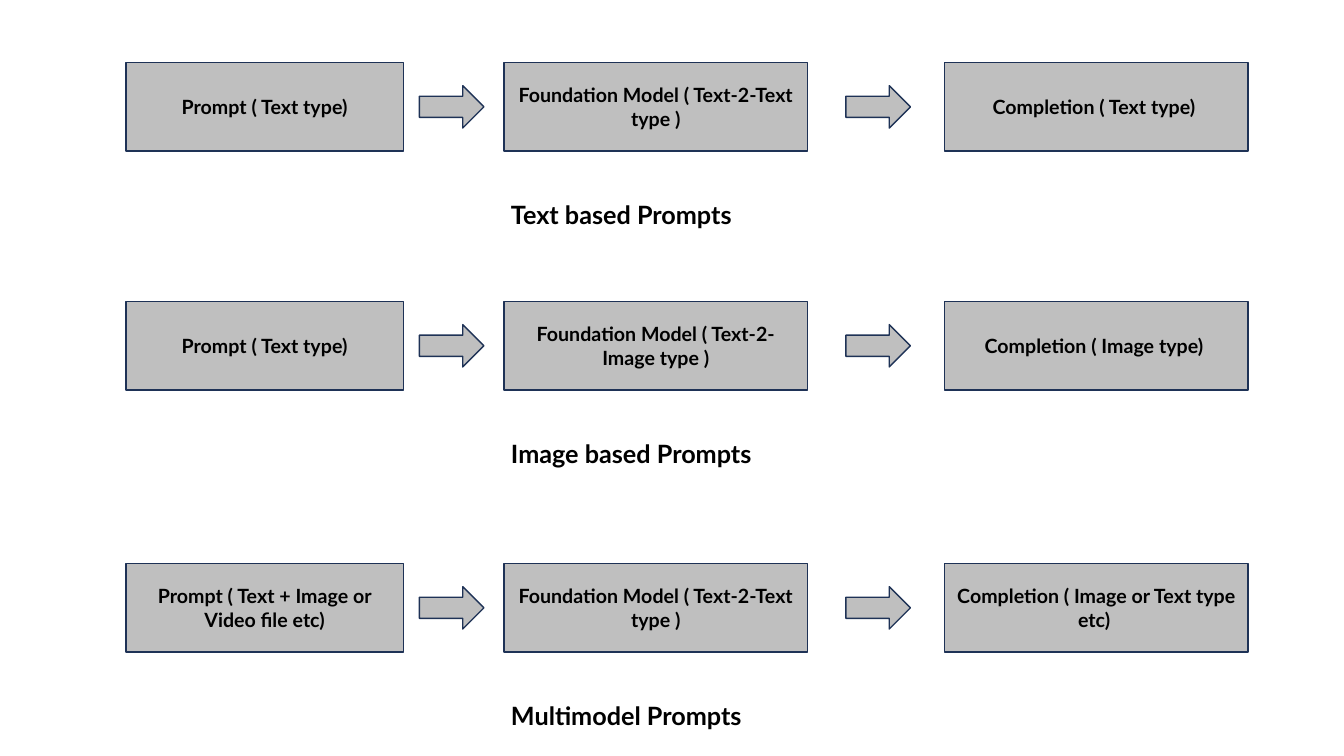
"""Build a slide of three prompt flows: prompt, foundation model, completion."""
from dataclasses import dataclass

from pptx import Presentation
from pptx.dml.color import RGBColor
from pptx.enum.shapes import MSO_SHAPE
from pptx.enum.text import MSO_ANCHOR, MSO_AUTO_SIZE, PP_ALIGN
from pptx.shapes.autoshape import Shape
from pptx.slide import Slide
from pptx.util import Inches, Pt

RECTANGLE = MSO_SHAPE.RECTANGLE
RIGHT_ARROW = MSO_SHAPE.RIGHT_ARROW
MIDDLE = MSO_ANCHOR.MIDDLE
CENTER = PP_ALIGN.CENTER
GROW = MSO_AUTO_SIZE.SHAPE_TO_FIT_TEXT

GRAY = RGBColor(0xBF, 0xBF, 0xBF)
NAVY = RGBColor(0x1E, 0x32, 0x56)
BLACK = RGBColor(0x00, 0x00, 0x00)
FONT = "Lato"

BOX_COLUMNS = ((1.25, 2.75), (5, 3.01), (9.37, 3.01))
BOX_HEIGHT = 0.88
ARROW_LEFTS = (4.16, 8.39)
ARROW_WIDTH, ARROW_HEIGHT = 0.64, 0.42
CAPTION_LEFT, CAPTION_WIDTH, CAPTION_HEIGHT = 4.97, 4.06, 0.4
CAPTION_OFFSET = 1.31


@dataclass(frozen=True)
class Flow:
    """One row of boxes with its caption."""

    top: float
    steps: tuple[str, str, str]
    caption: str


FLOWS = (
    Flow(0.62, ("Prompt ( Text type)", "Foundation Model ( Text-2-Text type )",
                "Completion ( Text type) "), "Text based Prompts"),
    Flow(2.99, ("Prompt ( Text type)", "Foundation Model ( Text-2-Image type )",
                "Completion ( Image type) "), "Image based Prompts"),
    Flow(5.59, ("Prompt ( Text + Image or Video file etc)",
                "Foundation Model ( Text-2-Text type )",
                "Completion ( Image or Text type etc) "), "Multimodel Prompts"),
)


def write_text(box: Shape, text: str, size: int) -> None:
    """Put one bold wrapped paragraph into a box."""
    box.text_frame.word_wrap = True
    paragraph = box.text_frame.paragraphs[0]
    paragraph.text = text
    paragraph.font.name = FONT
    paragraph.font.size = Pt(size)
    paragraph.font.bold = True
    paragraph.font.color.rgb = BLACK


def add_gray_shape(page: Slide, kind: MSO_SHAPE, left: float, top: float,
                   width: float, height: float) -> Shape:
    """Add a gray shape with a navy outline."""
    shape = page.shapes.add_shape(
        kind, Inches(left), Inches(top), Inches(width), Inches(height))
    shape.shadow.inherit = False
    shape.fill.solid()
    shape.fill.fore_color.rgb = GRAY
    shape.line.color.rgb = NAVY
    shape.line.width = Pt(1)
    return shape


def add_flow(page: Slide, flow: Flow) -> None:
    """Draw the boxes, arrows and caption of one flow."""
    for (left, width), step in zip(BOX_COLUMNS, flow.steps):
        box = add_gray_shape(page, RECTANGLE, left, flow.top, width, BOX_HEIGHT)
        write_text(box, step, 14)
        box.text_frame.vertical_anchor = MIDDLE
        box.text_frame.paragraphs[0].alignment = CENTER

    arrow_top = flow.top + (BOX_HEIGHT - ARROW_HEIGHT) / 2
    for left in ARROW_LEFTS:
        add_gray_shape(page, RIGHT_ARROW, left, arrow_top, ARROW_WIDTH, ARROW_HEIGHT)

    caption = page.shapes.add_textbox(
        Inches(CAPTION_LEFT), Inches(flow.top + CAPTION_OFFSET),
        Inches(CAPTION_WIDTH), Inches(CAPTION_HEIGHT))
    write_text(caption, flow.caption, 18)
    caption.text_frame.auto_size = GROW


def main() -> None:
    """Build and save the deck."""
    deck = Presentation()
    deck.slide_width = Inches(13.33)
    deck.slide_height = Inches(7.5)
    page = deck.slides.add_slide(deck.slide_layouts[6])
    for flow in FLOWS:
        add_flow(page, flow)
    deck.save("out.pptx")


if __name__ == "__main__":
    main()
